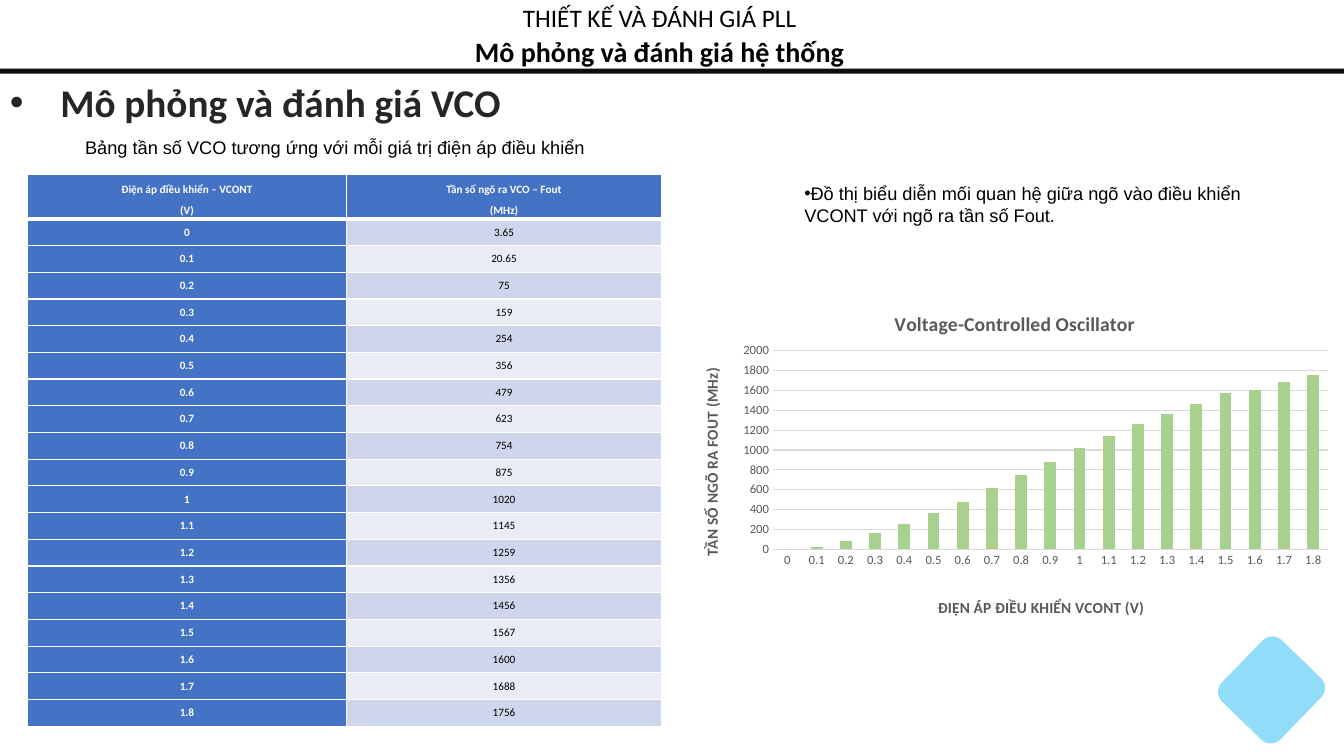
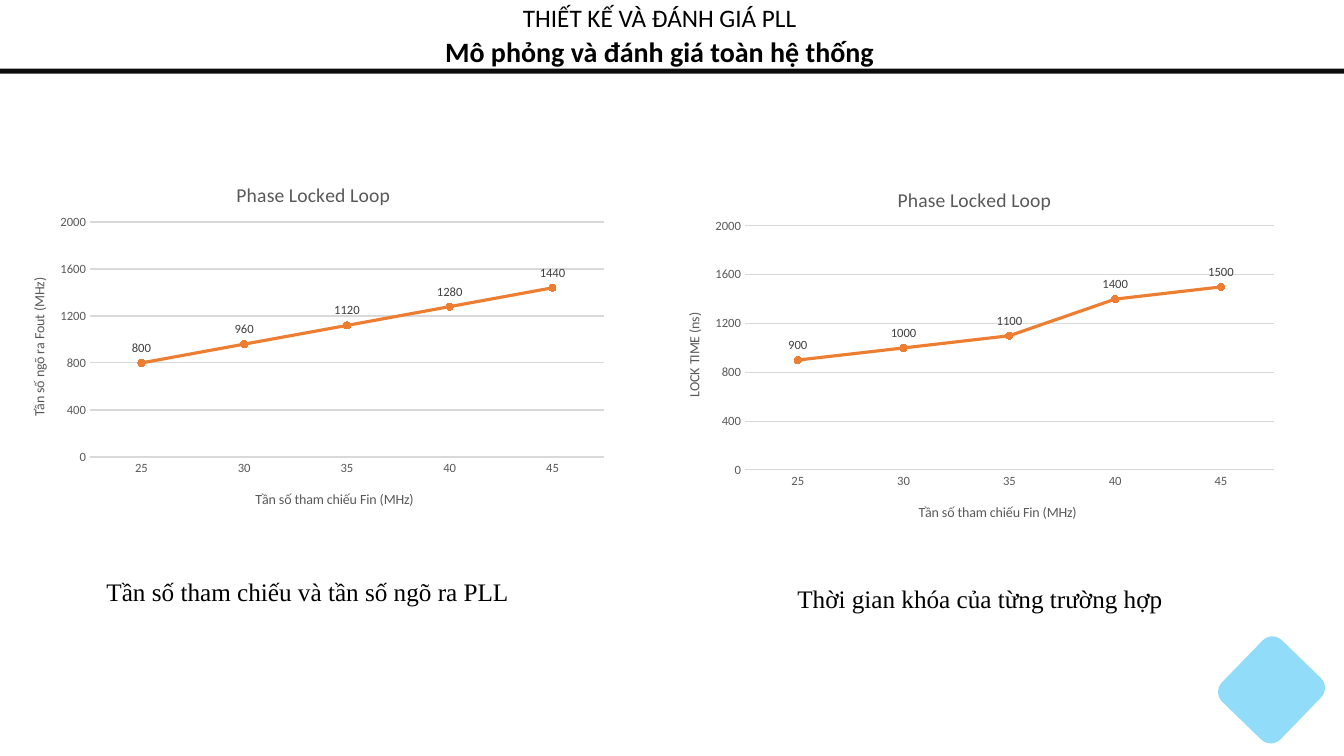
import pptx
import pptx.util
import pptx.chart.data
import pptx.dml.color
import pptx.enum.chart
import pptx.enum.shapes
import pptx.enum.text
import pptx.oxml
import pptx.oxml.ns
from lxml import etree

Pt = pptx.util.Pt
qn = pptx.oxml.ns.qn
ALIGN = pptx.enum.text.PP_ALIGN
ANCHOR = pptx.enum.text.MSO_ANCHOR
CHART = pptx.enum.chart.XL_CHART_TYPE

COLORS = {
    "black": "000000", "white": "FFFFFF", "rule": "0D0D0D", "heading": "262626",
    "header": "4472C4", "odd": "CFD5EA", "even": "E9EBF5", "accent": "00B0F0",
    "axis": "595959", "grid": "D9D9D9", "label": "404040",
    "bar": "A9D18E", "line": "ED7D31",
}

# Content
TOPIC = "THIẾT KẾ VÀ ĐÁNH GIÁ PLL"
VCO_TITLE = "Mô phỏng và đánh giá hệ thống"
VCO_HEADING = "Mô phỏng và đánh giá VCO"
VCO_CAPTION = "Bảng tần số VCO tương ứng với mỗi giá trị điện áp điều khiển"
VCO_NOTE = ["Đồ thị biểu diễn mối quan hệ giữa ngõ vào điều khiển",
            "VCONT với ngõ ra tần số Fout."]
VCO_HEADER = ["Điện áp điều khiển – VCONT\n(V)", "Tần số ngõ ra VCO – Fout\n(MHz)"]
VCO_FREQUENCIES = [3.65, 20.65, 75, 159, 254, 356, 479, 623, 754, 875,
                   1020, 1145, 1259, 1356, 1456, 1567, 1600, 1688, 1756]
VCO_VOLTAGES = [f"{step / 10:g}" for step in range(len(VCO_FREQUENCIES))]
SYSTEM_TITLE = "Mô phỏng và đánh giá toàn hệ thống"
REFERENCES = ["25", "30", "35", "40", "45"]

# Charts: frame and plot are (left, top, width, height);
# each title is (text, left, top), all in slide points
VCO_CHART = {
    "kind": CHART.COLUMN_CLUSTERED, "frame": (487.4, 206.6, 470.2, 237.6),
    "plot": (552.1, 250.7, 396.4, 142.1), "step": 200,
    "bold": True, "axis_size": 11,
    "title": ("Voltage-Controlled Oscillator", 636.4, 219.4),
    "x_title": ("ĐIỆN ÁP ĐIỀU KHIỂN VCONT (V)", 667.9, 424.7),
    "y_title": ("TẦN SỐ NGÕ RA FOUT (MHz)", 499, 261.4),
    "categories": VCO_VOLTAGES,
    "values": [round(value, -1) for value in VCO_FREQUENCIES],
}
LINE_STYLE = {"kind": CHART.LINE_MARKERS_STACKED, "step": 400, "bold": False,
              "axis_size": 10, "categories": REFERENCES}
SYSTEM_CHARTS = [
    {**LINE_STYLE, "frame": (3.6, 114.5, 436.3, 261.4),
     "plot": (64.3, 158.6, 367.1, 167.9),
     "title": ("Phase Locked Loop", 166.4, 127.2),
     "x_title": ("Tần số tham chiếu Fin (MHz)", 180.7, 348.2),
     "y_title": ("Tần số ngõ ra Fout (MHz)", 19.6, 196.4),
     "values": [800, 960, 1120, 1280, 1440]},
    {**LINE_STYLE, "frame": (470.9, 117.4, 447.8, 267.1),
     "plot": (532.1, 161.4, 377.9, 174.3),
     "title": ("Phase Locked Loop", 638.6, 130.8),
     "x_title": ("Tần số tham chiếu Fin (MHz)", 654.3, 357.8),
     "y_title": ("LOCK TIME (ns)", 487.5, 221.4),
     "values": [900, 1000, 1100, 1400, 1500]},
]
SYSTEM_CAPTIONS = [
    ("Tần số tham chiếu và tần số ngõ ra PLL", (69, 408.2, 310, 29), ALIGN.LEFT),
    ("Thời gian khóa của từng trường hợp", (550, 413.3, 300, 29), ALIGN.CENTER),
]


def rgb(name):
    return pptx.dml.color.RGBColor.from_string(COLORS[name])


def points(values):
    return [Pt(value) for value in values]


def style_font(font, size, color, bold=False, name="Calibri"):
    font.size, font.bold, font.name = Pt(size), bold, name
    font.color.rgb = rgb(color)


def style_text(frame, size, color, bold=False, name="Calibri", align=ALIGN.LEFT, spacing=None):
    for para in frame.paragraphs:
        para.alignment = align
        para.line_spacing = spacing
        for span in para.runs:
            style_font(span.font, size, color, bold, name)


def add_text(page, place, text, size, color="black", bold=False, name="Calibri",
             align=ALIGN.LEFT):
    box = page.shapes.add_textbox(*points(place))
    box.text_frame.word_wrap = True
    box.text_frame.text = text
    style_text(box.text_frame, size, color, bold, name, align)
    return box


def add_bullet(para, indent=0):
    properties = para._p.get_or_add_pPr()
    properties.set("marL", str(Pt(indent)))
    properties.set("indent", str(-Pt(indent)))
    font = etree.SubElement(properties, qn("a:buFont"))
    font.set("typeface", "Arial")
    etree.SubElement(properties, qn("a:buChar")).set("char", "•")


def add_solid(page, kind, place, color):
    shape = page.shapes.add_shape(kind, *points(place))
    shape.shadow.inherit = False
    shape.fill.solid()
    shape.fill.fore_color.rgb = rgb(color)
    shape.line.fill.background()
    return shape


def add_page(deck, title):
    """Add a slide with the shared header, rule and corner diamond."""
    kinds = pptx.enum.shapes.MSO_SHAPE
    page = deck.slides.add_slide(deck.slide_layouts[5])
    add_solid(page, kinds.RECTANGLE, (0, 49, 960, 3.6), "rule")
    add_text(page, (208, -2.2, 526.4, 29), TOPIC, 18, align=ALIGN.CENTER)

    heading = page.shapes.title
    heading.left, heading.top, heading.width, heading.height = points((195.8, 20.9, 550.8, 31.5))
    frame = heading.text_frame
    frame.text = title
    frame.auto_size = pptx.enum.text.MSO_AUTO_SIZE.NONE
    frame.vertical_anchor = ANCHOR.TOP
    style_text(frame, 20, "black", True, align=ALIGN.CENTER)

    diamond = add_solid(page, kinds.FLOWCHART_ALTERNATE_PROCESS,
                        (879.1, 462.2, 58.3, 61.2), "accent")
    diamond.rotation = 44.1
    tint = diamond.fill._xPr.find(".//" + qn("a:srgbClr"))
    etree.SubElement(tint, qn("a:alpha")).set("val", "43000")
    return page


# Table
def set_borders(cell, **widths):
    properties = cell._tc.get_or_add_tcPr()
    for side in "LRTB":
        line = etree.SubElement(properties, qn("a:ln" + side))
        line.set("w", str(Pt(widths.get(side, 1))))
        fill = etree.SubElement(line, qn("a:solidFill"))
        etree.SubElement(fill, qn("a:srgbClr")).set("val", COLORS["white"])


def add_vco_table(page):
    rows = [VCO_HEADER] + [[voltage, f"{value:g}"]
                           for voltage, value in zip(VCO_VOLTAGES, VCO_FREQUENCIES)]
    widths, heights = [228, 225], [31.6] + [19.1] * len(VCO_FREQUENCIES)
    table = page.shapes.add_table(len(rows), len(widths), *points(
        (19.6, 124.7, sum(widths), sum(heights)))).table
    table.first_row = table.horz_banding = False
    for column, width in zip(table.columns, widths):
        column.width = Pt(width)
    for r, (texts, height) in enumerate(zip(rows, heights)):
        table.rows[r].height = Pt(height)
        for c, text in enumerate(texts):
            cell = table.cell(r, c)
            strong = r == 0 or c == 0
            set_borders(cell, **({"B": 3} if r == 0 else {"T": 3} if r == 1 else {}))
            cell.margin_left = cell.margin_right = Pt(3)
            cell.margin_top = cell.margin_bottom = 0
            cell.vertical_anchor = ANCHOR.MIDDLE
            cell.fill.solid()
            cell.fill.fore_color.rgb = rgb("header" if strong else "odd" if r % 2 else "even")
            cell.text_frame.text = text
            style_text(cell.text_frame, 8, "white" if strong else "black", strong,
                       align=ALIGN.CENTER, spacing=1.5 if r == 0 else None)


# Charts
def set_layout(parent, frame, place, index):
    """Pin a chart part at a slide position inside the chart frame."""
    layout = parent.find(qn("c:layout"))
    if layout is None:
        layout = parent.makeelement(qn("c:layout"))
        parent.insert(index, layout)
    manual = etree.SubElement(layout, qn("c:manualLayout"))
    left, top, width, height = frame
    shares = [(place[0] - left) / width, (place[1] - top) / height]
    shares += [size / whole for size, whole in zip(place[2:], (width, height))]
    settings = [("layoutTarget", "inner")] if len(place) == 4 else []
    settings += [("xMode", "edge"), ("yMode", "edge")]
    settings += [(key, f"{share:.4f}") for key, share in zip("xywh", shares)]
    for key, value in settings:
        etree.SubElement(manual, qn("c:" + key)).set("val", value)


def set_title(title, content, frame, size, bold):
    text, *place = content
    title.text_frame.text = text
    style_text(title.text_frame, size, "axis", bold, align=None)
    set_layout(title._element, frame, place, 1)


def add_data_chart(page, item):
    frame, is_line = item["frame"], item["kind"] == CHART.LINE_MARKERS_STACKED
    data = pptx.chart.data.CategoryChartData()
    data.categories = item["categories"]
    data.add_series("Series 1", item["values"])
    chart = page.shapes.add_chart(item["kind"], *points(frame), data).chart
    style_font(chart.font, 10, "black")
    chart.has_legend = False
    chart.has_title = True
    set_title(chart.chart_title, item["title"], frame, 14, item["bold"])
    set_layout(chart._chartSpace.find(".//" + qn("c:plotArea")), frame, item["plot"], 0)

    for axis, key in ((chart.category_axis, "x_title"), (chart.value_axis, "y_title")):
        axis.has_title = True
        set_title(axis.axis_title, item[key], frame, item["axis_size"], item["bold"])
        axis.major_tick_mark = axis.minor_tick_mark = pptx.enum.chart.XL_TICK_MARK.NONE
        style_font(axis.tick_labels.font, 9, "axis")
        axis.format.line.fill.background()
    values = chart.value_axis
    values.minimum_scale, values.maximum_scale, values.major_unit = 0, 2000, item["step"]
    grids = [values.major_gridlines.format.line]
    if is_line:
        grids.append(chart.category_axis.format.line)
    for grid in grids:
        grid.width = Pt(0.75)
        grid.color.rgb = rgb("grid")

    plot = chart.plots[0]
    plot.vary_by_categories = False
    series = plot.series[0]
    if not is_line:
        plot.gap_width = 150
        series.format.fill.solid()
        series.format.fill.fore_color.rgb = rgb("bar")
        return
    series.smooth = False
    series.format.line.width = Pt(2.25)
    series.format.line.color.rgb = rgb("line")
    marker = series.marker
    marker.style, marker.size = pptx.enum.chart.XL_MARKER_STYLE.CIRCLE, 5
    marker.format.fill.solid()
    marker.format.fill.fore_color.rgb = rgb("line")
    marker.format.line.color.rgb = rgb("line")
    labels = series.data_labels
    labels.show_value = True
    labels.position = pptx.enum.chart.XL_LABEL_POSITION.ABOVE
    style_font(labels.font, 9, "label")


# Slides
def build_vco(deck):
    page = add_page(deck, VCO_TITLE)
    heading = add_text(page, (0, 52.6, 414, 41), VCO_HEADING, 28, "heading", True)
    add_bullet(heading.text_frame.paragraphs[0], 36)
    add_vco_table(page)
    add_text(page, (46, 93.8, 386, 23), VCO_CAPTION, 13, name="Arial", align=ALIGN.CENTER)
    note = add_text(page, (567.4, 126.5, 345, 40), "\n".join(VCO_NOTE), 13, name="Arial")
    add_bullet(note.text_frame.paragraphs[0])
    add_data_chart(page, VCO_CHART)


def build_system(deck):
    page = add_page(deck, SYSTEM_TITLE)
    for item in SYSTEM_CHARTS:
        add_data_chart(page, item)
    for text, place, align in SYSTEM_CAPTIONS:
        add_text(page, place, text, 18, name="Times New Roman", align=align)


def main():
    deck = pptx.Presentation()
    deck.slide_width, deck.slide_height = Pt(960), Pt(540)
    build_vco(deck)
    build_system(deck)
    deck.save("out.pptx")


if __name__ == "__main__":
    main()
